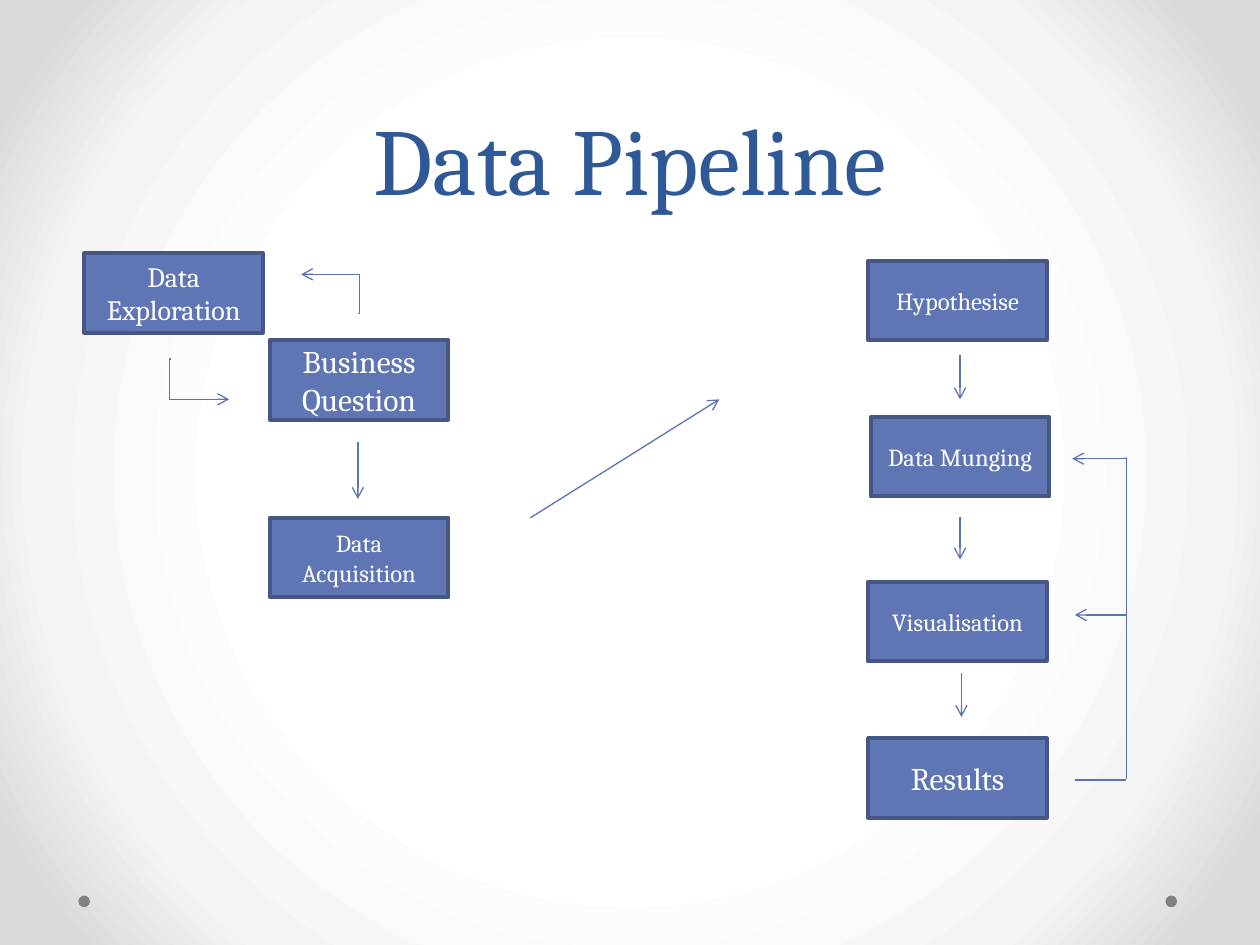
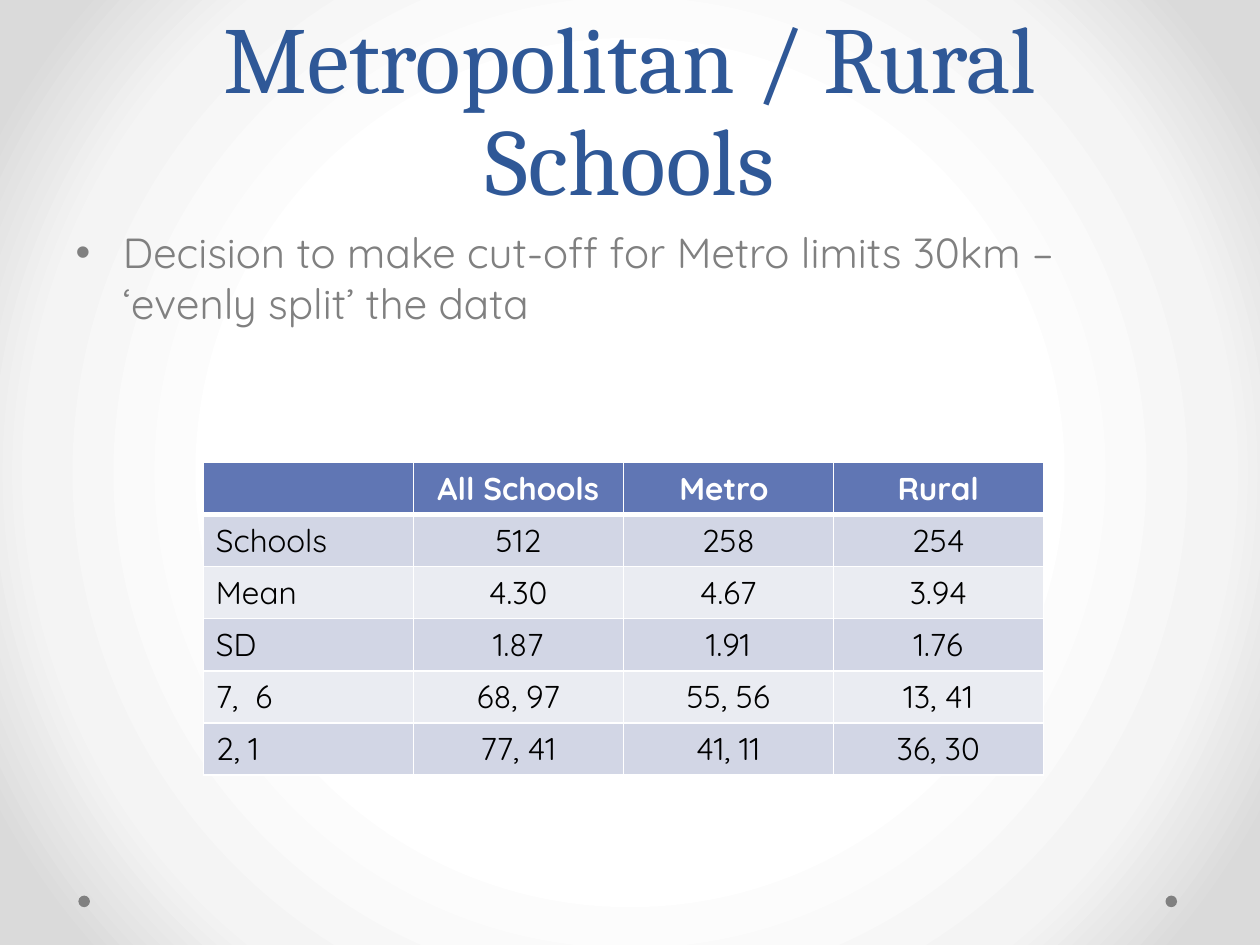
from lxml.etree import SubElement
from pptx import Presentation
from pptx.dml.color import RGBColor
from pptx.enum.shapes import MSO_CONNECTOR, MSO_SHAPE
from pptx.enum.text import MSO_ANCHOR, MSO_AUTO_SIZE, PP_ALIGN
from pptx.oxml.ns import qn
from pptx.util import Pt

SERIF, SANS = "Cambria", "Quicksand"
BLUE, EDGE, ARROW, TITLE = "6076B4", "475785", "5C72B2", "2F5897"
GREY, WHITE, BLACK = "808080", "FFFFFF", "000000"
BANDS = "D2D6E5", "EAECF2"
BOX_W, BOX_H = 102.2, 45.4


def rgb(color):
    return RGBColor.from_string(color)


def write(tf, text, size=18, font=SERIF, color=WHITE, bold=False, align=None):
    p = tf.paragraphs[0]
    p.alignment = align
    r = p.add_run()
    r.text = text
    r.font.size, r.font.name, r.font.bold = Pt(size), font, bold
    r.font.color.rgb = rgb(color)
    return p


def add_solid(parent, color):
    fill = SubElement(parent, qn("a:solidFill"))
    SubElement(fill, qn("a:srgbClr"), val=color)


def set_borders(cell, bottom=1):
    tcPr = cell._tc.get_or_add_tcPr()
    for side, width in (("L", 1), ("R", 1), ("T", 1), ("B", bottom)):
        ln = SubElement(tcPr, qn(f"a:ln{side}"), w=str(Pt(width)))
        add_solid(ln, WHITE)


def set_radial_background(master):
    master.background.fill.gradient()
    grad = master.element.find(".//" + qn("a:gradFill"))
    for child in list(grad):
        grad.remove(child)
    stops = SubElement(grad, qn("a:gsLst"))
    for pos, color in ((50, "FFFFFF"), (76, "F4F4F4"), (92, "DADADA")):
        gs = SubElement(stops, qn("a:gs"), pos=str(pos * 1000))
        SubElement(gs, qn("a:srgbClr"), val=color)
    circle = SubElement(grad, qn("a:path"), path="circle")
    SubElement(circle, qn("a:fillToRect"), l="50000", t="50000", r="50000", b="50000")


class Deck:
    def __init__(self):
        self.prs = Presentation()
        self.prs.slide_width, self.prs.slide_height = Pt(720), Pt(540)
        set_radial_background(self.prs.slide_master)
        self.s = None

    def slide(self, title, layout):
        """Start a slide with the title and the two footer dots."""
        self.s = self.prs.slides.add_slide(self.prs.slide_layouts[layout])
        for x in (666, 44.8):
            self.shape(MSO_SHAPE.OVAL, x, 511.8, 6.6, 6.6, GREY)
        tf = self.placeholder(self.s.shapes.title, 0, 126)
        tf.vertical_anchor = MSO_ANCHOR.BOTTOM
        p = write(tf, title, 54, color=TITLE, align=PP_ALIGN.CENTER)
        p.line_spacing = Pt(58)

    def placeholder(self, sp, y, h):
        sp.left, sp.top, sp.width, sp.height = Pt(36), Pt(y), Pt(648), Pt(h)
        sp.text_frame.auto_size = MSO_AUTO_SIZE.NONE
        return sp.text_frame

    def bullet(self, text):
        tf = self.placeholder(self.s.placeholders[1], 126, 356.4)
        write(tf, text, 24, SANS, GREY)

    def shape(self, kind, x, y, w, h, fill, line=None):
        sp = self.s.shapes.add_shape(kind, Pt(x), Pt(y), Pt(w), Pt(h))
        sp.shadow.inherit = False
        sp.fill.solid()
        sp.fill.fore_color.rgb = rgb(fill)
        if line:
            sp.line.color.rgb = rgb(line)
            sp.line.width = Pt(2.25)
        else:
            sp.line.fill.background()
        return sp

    def box(self, text, x, y, size=14):
        sp = self.shape(MSO_SHAPE.RECTANGLE, x, y, BOX_W, BOX_H, BLUE, EDGE)
        tf = sp.text_frame
        tf.word_wrap = True
        tf.vertical_anchor = MSO_ANCHOR.MIDDLE
        write(tf, text, size, align=PP_ALIGN.CENTER)

    def line(self, x1, y1, x2, y2, arrow=True, bend=None):
        """Draw a connector; bend places the elbow as a share of its width."""
        kind = MSO_CONNECTOR.STRAIGHT if bend is None else MSO_CONNECTOR.ELBOW
        sp = self.s.shapes.add_connector(kind, Pt(x1), Pt(y1), Pt(x2), Pt(y2))
        sp.line.color.rgb = rgb(ARROW)
        sp.line.width = Pt(0.75)
        spPr = sp._element.spPr
        SubElement(spPr, qn("a:effectLst"))
        if arrow:
            SubElement(spPr.find(qn("a:ln")), qn("a:tailEnd"), type="arrow")
        if bend is not None:
            guides = spPr.find(".//" + qn("a:avLst"))
            SubElement(guides, qn("a:gd"), name="adj1", fmla=f"val {round(bend * 100000)}")

    def table(self, rows, x, y, col_w, row_h):
        n_rows, n_cols = len(rows), len(rows[0])
        table = self.s.shapes.add_table(n_rows, n_cols, Pt(x), Pt(y),
                                        Pt(col_w * n_cols), Pt(row_h * n_rows)).table
        for i, row in enumerate(rows):
            header = i == 0
            for j, text in enumerate(row):
                cell = table.cell(i, j)
                set_borders(cell, bottom=3 if header else 1)
                cell.fill.solid()
                cell.fill.fore_color.rgb = rgb(BLUE if header else BANDS[(i - 1) % 2])
                if text:
                    write(cell.text_frame, text, 18, SANS, WHITE if header else BLACK,
                          header, PP_ALIGN.CENTER if j else PP_ALIGN.LEFT)


def pipeline_slide(deck):
    deck.slide("Data Pipeline", 5)
    left, right = 154.1, 496.1
    for box in (("Data Exploration", 48.2, 144.7, 16),
                ("Data Munging", 497.5, 238.3),
                ("Visualisation", right, 332.6),
                ("Hypothesise", right, 149),
                ("Results", right, 421.9, 18),
                ("Data Acquisition", left, 295.9),
                ("Business Question", left, 194.4, 18)):
        deck.box(*box)

    deck.line(97.2, 205.2, 131, 228.2, bend=-0.01)
    deck.line(204.5, 179.3, 172.1, 156.8, bend=-0.03)
    for x, top, bottom in ((204.5, 252.7, 285.1), (548.6, 203, 228.2),
                           (548.6, 295.2, 319.7), (549.4, 384.5, 409.7)):
        deck.line(x, top, x, bottom)
    deck.line(303.1, 295.9, 411.1, 228.2)

    loop_x = 643.7
    deck.line(614.2, 445.7, loop_x, 445.7, arrow=False)
    deck.line(loop_x, 351.4, 614.2, 351.4)
    deck.line(loop_x, 261.4, loop_x, 445, arrow=False)
    deck.line(loop_x, 262.1, 612.7, 262.1)


def schools_slide(deck):
    deck.slide("Metropolitan / Rural Schools", 1)
    deck.bullet("Decision to make cut-off for Metro limits 30km – ‘evenly split’ the data")
    deck.table([("", "All Schools", "Metro ", "Rural"),
                ("Schools", "512", "258", "254"),
                ("Mean", "4.30", "4.67", "3.94"),
                ("SD", "1.87", "1.91", "1.76"),
                ("7,  6", "68, 97", "55, 56", "13, 41"),
                ("2, 1", "77, 41", "41, 11", "36, 30")], 116.2, 264.2, 120, 29.2)


def main():
    deck = Deck()
    pipeline_slide(deck)
    schools_slide(deck)
    deck.prs.save("out.pptx")


if __name__ == "__main__":
    main()
